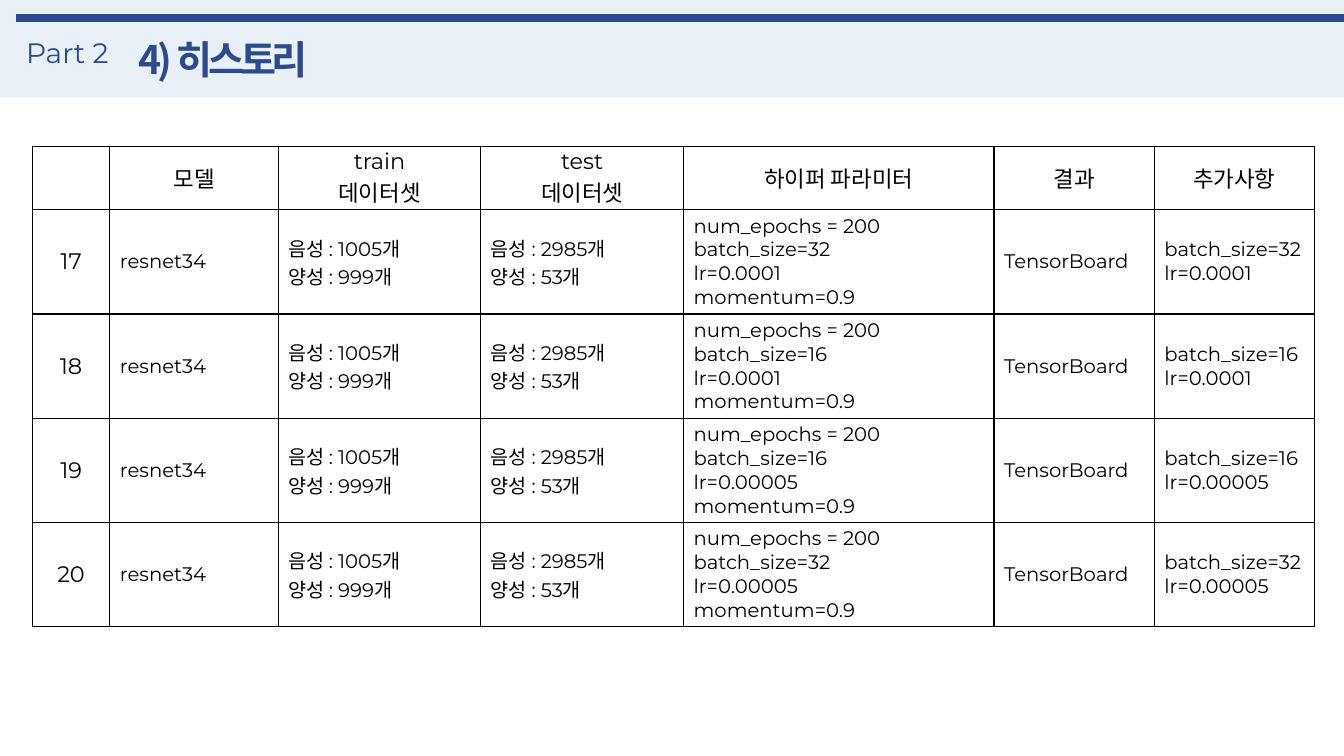
from lxml import etree
from pptx import Presentation
from pptx import util as u
from pptx.dml.color import RGBColor
from pptx.enum import shapes, text
from pptx.oxml.ns import qn

COLORS = {"band": "E0EBF6", "navy": "2C4A8C", "black": "000000"}
LATIN, KOREAN = "Montserrat", "Noto Sans CJK KR"
HEADERS = ["", "모델", "train\n데이터셋", "test\n데이터셋", "하이퍼 파라미터", "결과", "추가사항"]
RUNS = [(17, 32, "0.0001"), (18, 16, "0.0001"), (19, 16, "0.00005"), (20, 32, "0.00005")]
COLUMN_WIDTHS = [0.77, 1.67, 2.01, 2.01, 3.08, 1.59, 1.59]
HEADER_HEIGHT, RUN_HEIGHT = 0.63, 1.035


def rgb(name):
    return RGBColor.from_string(COLORS[name])


def style_text(frame, size, color, latin=LATIN, bold=False, align=text.PP_ALIGN.LEFT):
    for paragraph in frame.paragraphs:
        paragraph.alignment = align
        font = paragraph.font
        font.name, font.size, font.bold = latin, u.Pt(size), bold
        font.color.rgb = rgb(color)
        east_asian = etree.Element(qn("a:ea"), typeface=KOREAN)
        font._element.find(qn("a:latin")).addnext(east_asian)


def add_band(slide):
    band = slide.shapes.add_shape(shapes.MSO_SHAPE.RECTANGLE, 0, 0, u.Inches(13.33), u.Inches(0.97))
    band.shadow.inherit = False
    band.fill.solid()
    band.fill.fore_color.rgb = rgb("band")
    band.line.fill.background()
    tint = band._element.spPr.find(".//" + qn("a:srgbClr"))
    etree.SubElement(tint, qn("a:alpha"), val="70000")
    slide.shapes._spTree.insert(2, band._element)


def add_rule(slide):
    rule = slide.shapes.add_connector(
        shapes.MSO_CONNECTOR.STRAIGHT,
        u.Inches(0.16), u.Inches(0.18), u.Inches(13.35), u.Inches(0.18))
    rule.line.color.rgb = rgb("navy")
    rule.line.width = u.Pt(6)
    etree.SubElement(rule._element.spPr, qn("a:effectLst"))


def add_part_label(slide):
    label = slide.shapes.add_textbox(u.Inches(0.16), u.Inches(0.3), u.Inches(1.03), u.Inches(0.44))
    label.text_frame.word_wrap = False
    label.text_frame.text = "Part 2"
    style_text(label.text_frame, 20, "navy")


def set_title(slide):
    title = slide.shapes.title
    title.left, title.top = u.Inches(1.27), u.Inches(0.3)
    title.width, title.height = u.Inches(2.97), u.Inches(0.57)
    frame = title.text_frame
    frame.text = "4) 히스토리"
    frame.word_wrap = True
    frame.auto_size = text.MSO_AUTO_SIZE.NONE
    frame.vertical_anchor = text.MSO_ANCHOR.TOP
    style_text(frame, 28, "navy", latin=KOREAN, bold=True)
    frame.paragraphs[0].font._element.set("spc", "-300")


def add_borders(cell):
    properties = cell._tc.get_or_add_tcPr()
    for position, side in enumerate(("lnL", "lnR", "lnT", "lnB")):
        border = etree.Element(qn("a:" + side), w=str(u.Pt(1)))
        fill = etree.SubElement(border, qn("a:solidFill"))
        etree.SubElement(fill, qn("a:srgbClr"), val=COLORS["black"])
        properties.insert(position, border)


def fill_cell(cell, content, size, align):
    cell.text = content
    cell.vertical_anchor = text.MSO_ANCHOR.MIDDLE
    cell.margin_top = cell.margin_bottom = u.Inches(0.02)
    cell.fill.background()
    add_borders(cell)
    style_text(cell.text_frame, size, "black", align=align)


def run_row(number, batch, rate):
    settings = f"batch_size={batch}\nlr={rate}"
    return [str(number), "resnet34", "음성 : 1005개\n양성 : 999개", "음성 : 2985개\n양성 : 53개",
            f"num_epochs = 200\n{settings}\nmomentum=0.9", "TensorBoard", settings]


def add_history(slide):
    rows = [HEADERS] + [run_row(*run) for run in RUNS]
    heights = [HEADER_HEIGHT] + [RUN_HEIGHT] * len(RUNS)
    history = slide.shapes.add_table(
        len(rows), len(HEADERS), u.Inches(0.32), u.Inches(1.45),
        u.Inches(sum(COLUMN_WIDTHS)), u.Inches(sum(heights))).table
    history.first_row = history.horz_banding = False
    for column, width in zip(history.columns, COLUMN_WIDTHS):
        column.width = u.Inches(width)
    for r, (contents, height) in enumerate(zip(rows, heights)):
        history.rows[r].height = u.Inches(height)
        for c, content in enumerate(contents):
            heading = r == 0 or c == 0
            align = text.PP_ALIGN.CENTER if heading else text.PP_ALIGN.LEFT
            fill_cell(history.cell(r, c), content, 16 if heading else 14, align)


def main():
    deck = Presentation()
    deck.slide_width, deck.slide_height = u.Inches(13.33), u.Inches(7.5)
    slide = deck.slides.add_slide(deck.slide_layouts[5])
    add_band(slide)
    add_rule(slide)
    add_part_label(slide)
    set_title(slide)
    add_history(slide)
    deck.save("out.pptx")


if __name__ == "__main__":
    main()
